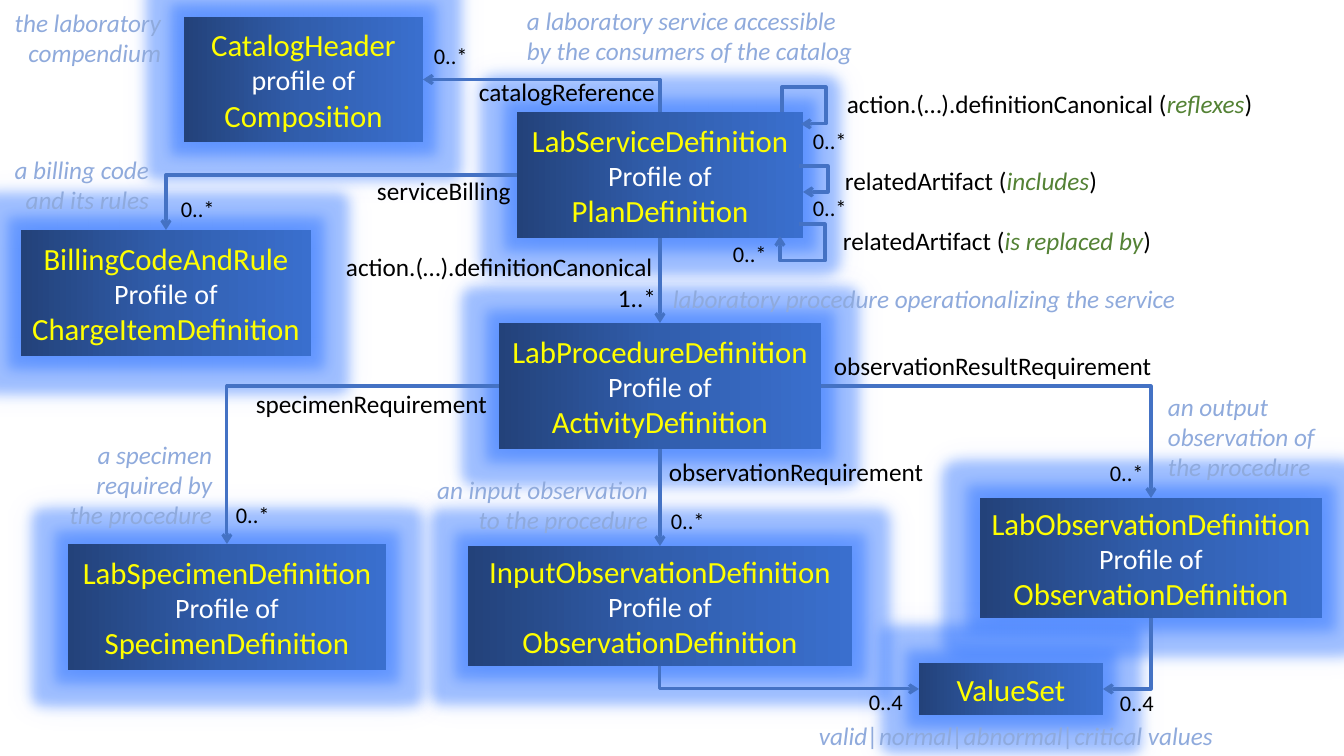
from dataclasses import dataclass

from lxml.etree import SubElement
from pptx import Presentation
from pptx.dml.color import RGBColor
from pptx.enum.shapes import MSO_CONNECTOR, MSO_SHAPE
from pptx.enum.text import MSO_ANCHOR, PP_ALIGN
from pptx.oxml.ns import qn
from pptx.util import Pt

EMU_PER_PX = 914400 / 100.8
FONT = "Calibri"
BLACK, WHITE, YELLOW = "000000", "FFFFFF", "FFFF00"
NOTE, GREEN, LINE, GLOW = "8FAADC", "548235", "4472C4", "2970FF"
GRADIENT = [(0, "23427A"), (50, "315EAD"), (100, "3A6FCE")]
TOP, LEFT, BOTTOM, RIGHT = range(4)
L, C, R = PP_ALIGN.LEFT, PP_ALIGN.CENTER, PP_ALIGN.RIGHT


@dataclass
class Box:
    name: str
    base: str
    x: int
    y: int
    w: int
    h: int
    link: str = "Profile of"

    def site(self, i: int) -> tuple[int, int]:
        mid_x, mid_y = self.x + self.w // 2, self.y + self.h // 2
        return [(mid_x, self.y), (self.x, mid_y),
                (mid_x, self.y + self.h), (self.x + self.w, mid_y)][i]


@dataclass
class Link:
    start: str
    start_site: int
    end: str
    end_site: int
    arrow: str = "tailEnd"
    preset: str = "bentConnector2"


@dataclass
class Loop:
    start: tuple[int, int]
    end: tuple[int, int]
    bend_x: int
    bend_y: int | None
    arrow: str


@dataclass
class Label:
    text: str
    x: int
    y: int
    w: int
    size: int = 18
    color: str = BLACK
    align: PP_ALIGN = L
    term: str = ""


def px(n: float) -> int:
    return round(n * EMU_PER_PX)


def rgb(color: str) -> RGBColor:
    return RGBColor.from_string(color)


def add_run(p, text: str, size: int, color: str, italic: bool = False) -> None:
    r = p.add_run()
    r.text = text
    r.font.name, r.font.size, r.font.italic = FONT, Pt(size), italic
    r.font.color.rgb = rgb(color)


def add_color(parent, color: str, alpha: int = 100) -> None:
    clr = SubElement(parent, qn("a:srgbClr"), val=color)
    if alpha < 100:
        SubElement(clr, qn("a:alpha"), val=str(alpha * 1000))


def draw_box(slide, b: Box):
    s = slide.shapes.add_shape(MSO_SHAPE.RECTANGLE, px(b.x), px(b.y), px(b.w), px(b.h))
    s.line.fill.background()
    # Left-to-right gradient
    s.fill.gradient()
    s.fill.gradient_angle = 0
    stops = s.fill._fill._gradFill.find(qn("a:gsLst"))
    stops.clear()
    for pos, color in GRADIENT:
        add_color(SubElement(stops, qn("a:gs"), pos=str(pos * 1000)), color)
    # Halo
    s.shadow.inherit = False
    effects = s._element.spPr.find(qn("a:effectLst"))
    add_color(SubElement(effects, qn("a:glow"), rad=str(Pt(18))), GLOW, 40)
    add_color(SubElement(effects, qn("a:outerShdw"), blurRad=str(Pt(18)), dist="0",
                         algn="ctr", rotWithShape="0"), GLOW, 40)
    # Name, link word and base resource
    tf = s.text_frame
    tf.word_wrap, tf.vertical_anchor = True, MSO_ANCHOR.MIDDLE
    lines = [(b.name, 22, YELLOW)]
    if b.base:
        lines += [(b.link, 20, WHITE), (b.base, 22, YELLOW)]
    for i, line in enumerate(lines):
        p = tf.add_paragraph() if i else tf.paragraphs[0]
        p.alignment = C
        add_run(p, *line)
    return s


def draw_connector(slide, start, end, preset: str, arrow: str, adjust=()):
    s = slide.shapes.add_connector(MSO_CONNECTOR.ELBOW, *map(px, start + end))
    s.line.color.rgb, s.line.width = rgb(LINE), Pt(2.25)
    SubElement(s.line._get_or_add_ln(), qn(f"a:{arrow}"), type="arrow")
    spPr = s._element.spPr
    SubElement(spPr, qn("a:effectLst"))
    geom = spPr.find(qn("a:prstGeom"))
    geom.set("prst", preset)
    guides = geom.find(qn("a:avLst"))
    for i, ratio in enumerate(adjust, 1):
        SubElement(guides, qn("a:gd"), name=f"adj{i}", fmla=f"val {round(ratio * 100000)}")
    return s


def draw_loop(slide, loop: Loop) -> None:
    (x1, y1), (x2, y2) = loop.start, loop.end
    adjust = [(loop.bend_x - x1) / (x2 - x1)]
    if loop.bend_y is not None:
        adjust.append((loop.bend_y - y1) / (y2 - y1))
    draw_connector(slide, loop.start, loop.end, f"bentConnector{len(adjust) + 2}",
                   loop.arrow, adjust)


def draw_label(slide, t: Label) -> None:
    s = slide.shapes.add_textbox(px(t.x), px(t.y), px(t.w), px(40))
    tf = s.text_frame
    tf.word_wrap = True
    p = tf.paragraphs[0]
    p.alignment = t.align
    add_run(p, t.text, t.size, t.color, t.color == NOTE)
    if t.term:
        add_run(p, t.term, t.size, GREEN, True)
        add_run(p, ")", t.size, t.color)


BOXES = [
    Box("CatalogHeader", "Composition", 184, 17, 239, 125, "profile of"),
    Box("LabProcedureDefinition", "ActivityDefinition", 499, 323, 322, 126),
    Box("InputObservationDefinition", "ObservationDefinition", 468, 546, 384, 120),
    Box("LabObservationDefinition", "ObservationDefinition", 980, 498, 342, 120),
    Box("LabSpecimenDefinition", "SpecimenDefinition", 68, 544, 318, 126),
    Box("LabServiceDefinition", "PlanDefinition", 517, 112, 286, 126),
    Box("ValueSet", "", 919, 663, 184, 52),
    Box("BillingCodeAndRule", "ChargeItemDefinition", 21, 230, 290, 126),
]
SERVICE, PROCEDURE = "LabServiceDefinition", "LabProcedureDefinition"
INPUT, OUTPUT = "InputObservationDefinition", "LabObservationDefinition"
LINKS = [
    Link("CatalogHeader", RIGHT, SERVICE, TOP, "headEnd"),
    Link(SERVICE, LEFT, "BillingCodeAndRule", TOP),
    Link(SERVICE, BOTTOM, PROCEDURE, TOP, preset="straightConnector1"),
    Link(PROCEDURE, LEFT, "LabSpecimenDefinition", TOP),
    Link(PROCEDURE, RIGHT, OUTPUT, TOP),
    Link(PROCEDURE, BOTTOM, INPUT, TOP, preset="straightConnector1"),
    Link("ValueSet", LEFT, INPUT, BOTTOM, "headEnd"),
    Link("ValueSet", RIGHT, OUTPUT, BOTTOM, "headEnd"),
]
LOOPS = [
    Loop((801, 124), (782, 112), 826, 87, "headEnd"),
    Loop((803, 192), (799, 166), 828, None, "headEnd"),
    Loop((799, 224), (780, 236), 825, 261, "tailEnd"),
]
LABELS = [
    Label("catalogReference", 469, 71, 207),
    Label("serviceBilling", 367, 170, 159),
    Label("action.(…).definitionCanonical", 336, 246, 330),
    Label("1..*", 608, 277, 67),
    Label("specimenRequirement", 246, 383, 254),
    Label("observationRequirement", 659, 451, 284),
    Label("observationResultRequirement", 824, 345, 343),
    Label("action.(…).definitionCanonical (", 837, 83, 486, term="reflexes"),
    Label("relatedArtifact (", 835, 160, 275, term="includes"),
    Label("relatedArtifact (", 833, 220, 414, term="is replaced by"),
    Label("the laboratory compendium", 2, 2, 169, 18, NOTE, R),
    Label("a laboratory service accessible by the consumers of the catalog",
          517, 0, 349, 18, NOTE),
    Label("laboratory procedure operationalizing the service", 663, 278, 682, 18, NOTE),
    Label("a specimen required by the procedure", 53, 434, 169, 18, NOTE, R),
    Label("an input observation to the procedure", 408, 469, 250, 18, NOTE, R),
    Label("an output observation of the procedure", 1158, 386, 170, 18, NOTE),
    Label("a billing code and its rules", -20, 149, 179, 18, NOTE, R),
    Label("valid|normal|abnormal|critical values", 799, 715, 434, 18, NOTE, C),
]
MANY = [(424, 37), (803, 122), (803, 189), (723, 235), (171, 190),
        (226, 496), (661, 502), (1100, 454)]
UP_TO_FOUR = [(859, 683), (1110, 684)]
LABELS += [Label(text, x, y, 67, 16)
           for text, spots in (("0..*", MANY), ("0..4", UP_TO_FOUR)) for x, y in spots]

prs = Presentation()
prs.slide_width, prs.slide_height = px(1344), px(756)
slide = prs.slides.add_slide(prs.slide_layouts[6])

# Resource boxes
drawn = {b.name: (b, draw_box(slide, b)) for b in BOXES}

# Arrows between boxes
for k in LINKS:
    (b1, s1), (b2, s2) = drawn[k.start], drawn[k.end]
    s = draw_connector(slide, b1.site(k.start_site), b2.site(k.end_site), k.preset, k.arrow)
    s.begin_connect(s1, k.start_site)
    s.end_connect(s2, k.end_site)

# Arrows from the service back to itself
for loop in LOOPS:
    draw_loop(slide, loop)

# Role names, cardinalities and notes
for label in LABELS:
    draw_label(slide, label)

prs.save("out.pptx")
